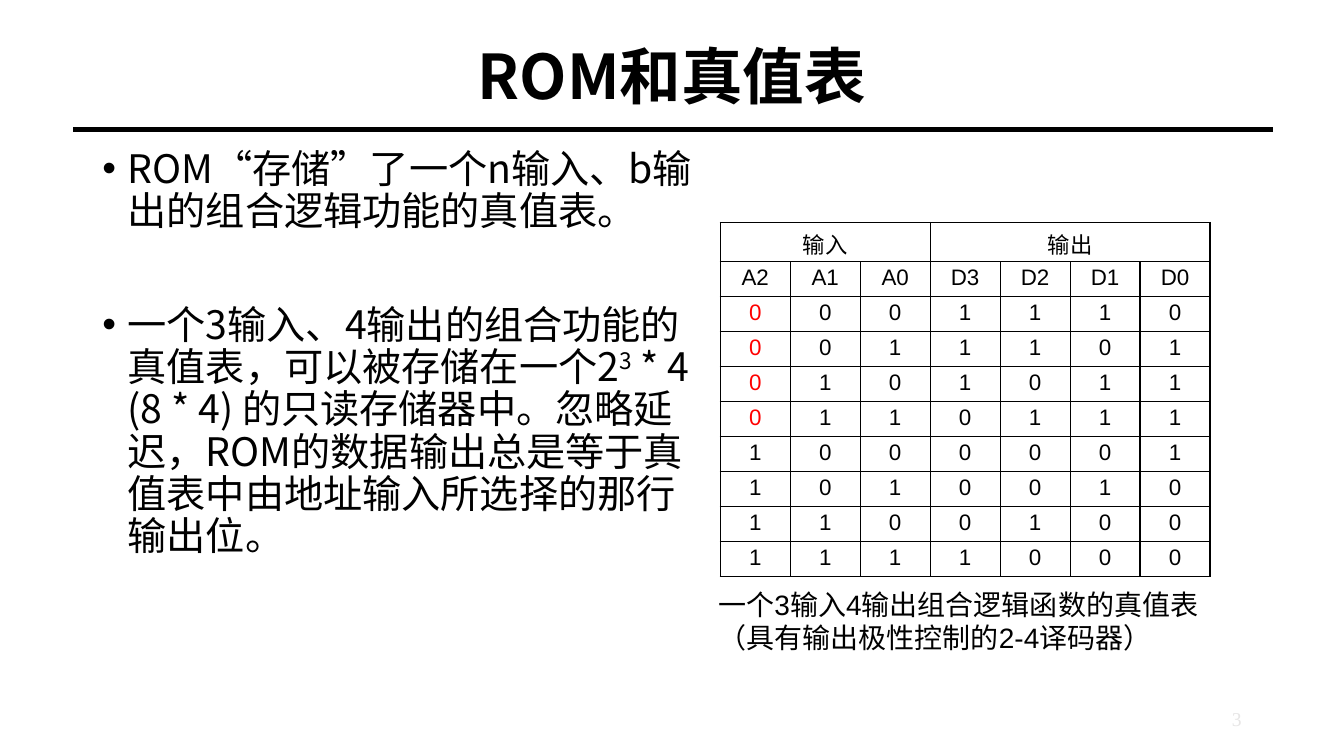
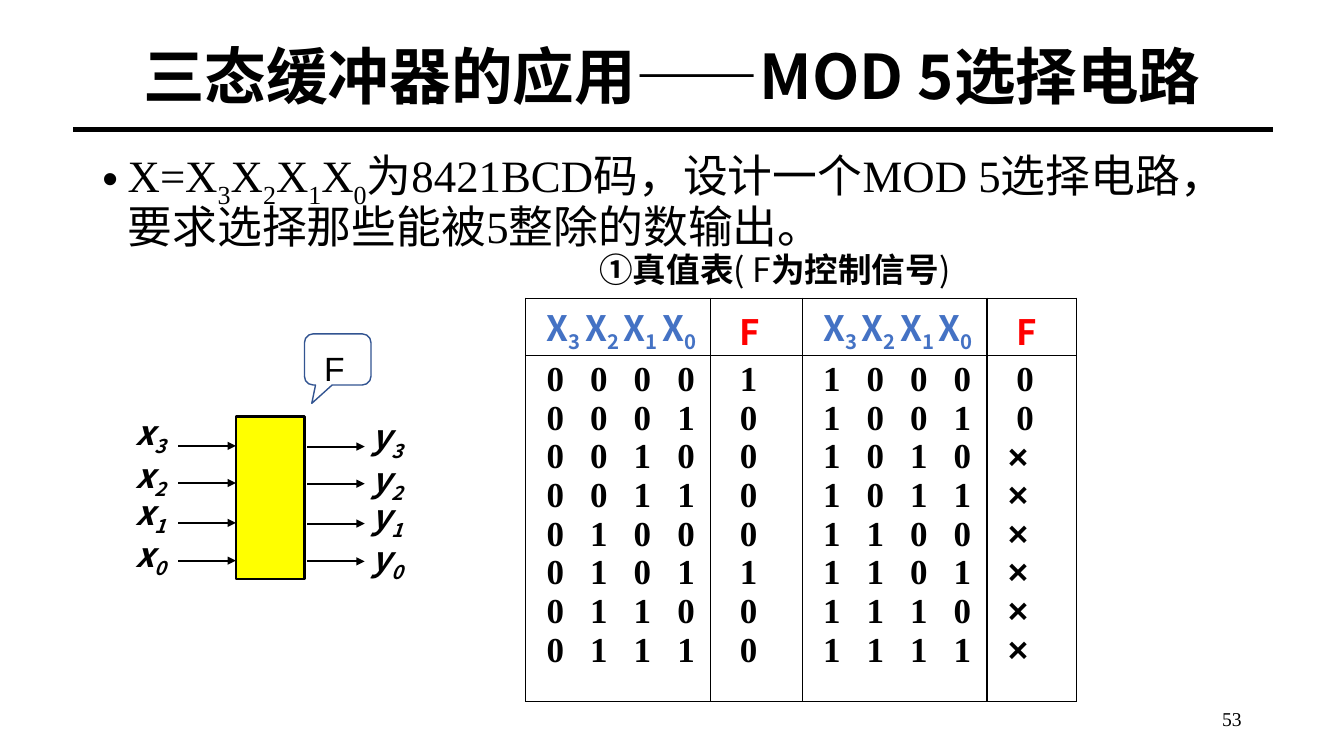
from lxml.etree import SubElement
from pptx import Presentation
from pptx.dml.color import RGBColor
from pptx.enum.lang import MSO_LANGUAGE_ID as LANG
from pptx.enum.shapes import MSO_CONNECTOR as LINE, MSO_SHAPE as SHAPE
from pptx.enum.text import MSO_ANCHOR as ANCHOR, MSO_AUTO_SIZE as FIT, PP_ALIGN as ALIGN
from pptx.oxml.ns import qn
from pptx.util import Pt

PX = 6350
COLORS = {
    "ink": "000000", "paper": "FFFFFF", "red": "FF0000", "blue": "4472C4",
    "yellow": "FFFF00", "callout": "325491", "faint": "E7E6E6",
}
SANS, SERIF, ARIAL = "Noto Sans CJK SC", "Times New Roman", "Arial"
TITLE = {"name": SANS, "size": Pt(44), "bold": True}
CAPTION = {"name": ARIAL, "size": Pt(20)}
GRID = {"name": ARIAL, "size": Pt(16), "bold": False}
TABLE_HEAD = {"name": SANS, "size": Pt(25), "bold": True}
TABLE_FLAGS = {**TABLE_HEAD, "name": SERIF}
TABLE_CODES = {**TABLE_FLAGS, "tracking": 620}
HEADING = {"name": SANS, "size": Pt(24), "bold": True}
SIGNAL = {**HEADING, "italic": True}
CALLOUT = {"name": ARIAL, "size": Pt(24)}
PAGE_NUMBER = {"name": SERIF, "size": Pt(14)}

SUBSCRIPT = {"baseline": -25000}
RUN_ATTRIBUTES = {"baseline": "baseline", "tracking": "spc"}
BIT_NAMES = "3210"


def px(*lengths):
    return [length * PX for length in lengths]


def color(name):
    return RGBColor.from_string(COLORS[name])


def indexed(letter, digits, gap=""):
    runs = []
    for digit in digits:
        tail = gap if digit != digits[-1] else ""
        runs += [(letter, {}), (digit + tail, SUBSCRIPT)]
    return runs


def add_run(paragraph, text, style):
    run = paragraph.add_run()
    run.text = text
    run.font.color.rgb = color(style.get("color", "ink"))
    run.font.language_id = LANG.SIMPLIFIED_CHINESE
    props = run._r.get_or_add_rPr()
    for key, value in style.items():
        if key in RUN_ATTRIBUTES:
            props.set(RUN_ATTRIBUTES[key], str(value))
        elif key != "color":
            setattr(run.font, key, value)
    SubElement(props, qn("a:ea")).set("typeface", SANS)


def indent(paragraph, left, first=0):
    props = paragraph._p.get_or_add_pPr()
    props.set("marL", str(left * PX))
    props.set("indent", str(first * PX))
    return props


def write(frame, lines, style, align=ALIGN.LEFT, spacing=None, gap=0, decorate=None):
    for number, line in enumerate(lines):
        paragraph = frame.paragraphs[0] if number == 0 else frame.add_paragraph()
        runs = [(line, {})] if isinstance(line, str) else line
        if decorate:
            decorate(paragraph, runs[0][0])
        layout = {
            "alignment": align, "line_spacing": spacing,
            "space_before": Pt(gap if number else 0), "space_after": Pt(0),
        }
        for key, value in layout.items():
            setattr(paragraph, key, value)
        for text, change in runs:
            add_run(paragraph, text, {**style, **change})


def bullet(paragraph, text):
    props = indent(paragraph, 36, -36)
    SubElement(props, qn("a:buFont")).set("typeface", ARIAL)
    SubElement(props, qn("a:buChar")).set("char", "•")


def flag_indent(paragraph, text):
    indent(paragraph, 0 if text == "×" else 12)


def place(shape, box):
    for key, value in zip(("left", "top", "width", "height"), px(*box)):
        setattr(shape, key, value)


def add_text(slide, box, lines, style, anchor=ANCHOR.TOP, **layout):
    frame = slide.shapes.add_textbox(*px(*box)).text_frame
    frame.word_wrap = True
    frame.vertical_anchor = anchor
    write(frame, lines, style, **layout)


def add_line(slide, start, end, width, arrow=False):
    line = slide.shapes.add_connector(LINE.STRAIGHT, *px(*start, *end))
    line.line.color.rgb = color("ink")
    line.line.width = Pt(width)
    if arrow:
        SubElement(line.line._get_or_add_ln(), qn("a:tailEnd")).set("type", "triangle")
    SubElement(line._element.spPr, qn("a:effectLst"))


def add_outlined(slide, kind, box, outline, width, fill=None):
    shape = slide.shapes.add_shape(kind, *px(*box))
    shape.shadow.inherit = False
    shape.line.color.rgb = color(outline)
    shape.line.width = Pt(width)
    if fill:
        shape.fill.solid()
        shape.fill.fore_color.rgb = color(fill)
    else:
        shape.fill.background()
    return shape


def add_grid(slide, left, top, widths, heights):
    box = px(left, top, sum(widths), sum(heights))
    table = slide.shapes.add_table(len(heights), len(widths), *box).table
    table.first_row = table.horz_banding = False
    for column, width in zip(table.columns, widths):
        column.width = width * PX
    for row, height in zip(table.rows, heights):
        row.height = height * PX
    return table


def fill_cell(cell, lines, style, margins, fill=None, **layout):
    for side, margin in zip(("left", "top", "right", "bottom"), px(*margins)):
        setattr(cell, f"margin_{side}", margin)
    props = cell._tc.get_or_add_tcPr()
    for edge in ("lnL", "lnR", "lnT", "lnB"):
        border = SubElement(props, qn(f"a:{edge}"))
        border.set("w", str(Pt(1)))
        paint = SubElement(border, qn("a:solidFill"))
        SubElement(paint, qn("a:srgbClr")).set("val", COLORS["ink"])
    if fill:
        cell.fill.solid()
        cell.fill.fore_color.rgb = color(fill)
    else:
        cell.fill.background()
    write(cell.text_frame, lines, style, **layout)


def start_slide(deck, title, number, number_color, body_width, body_inset,
                points, style, **layout):
    slide = deck.slides.add_slide(deck.slide_layouts[1])
    heading, body = slide.placeholders
    holders = [
        (heading, (132, 58, 1656, 101), ANCHOR.MIDDLE, 17),
        (body, (132, 206, body_width, 766), ANCHOR.TOP, body_inset),
    ]
    for holder, box, anchor, inset in holders:
        place(holder, box)
        frame_format = {"auto_size": FIT.NONE, "word_wrap": True,
                        "vertical_anchor": anchor, "margin_top": inset * PX}
        for key, value in frame_format.items():
            setattr(holder.text_frame, key, value)
    write(heading.text_frame, [title], TITLE, ALIGN.CENTER, 0.9)
    write(body.text_frame, points, style, decorate=bullet, **layout)
    add_line(slide, (105, 185), (1819, 185), 3)
    add_text(slide, (1356, 997, 432, 58), [number],
             {**PAGE_NUMBER, "color": number_color}, ANCHOR.MIDDLE, align=ALIGN.RIGHT)
    return slide


def add_rom_table(slide):
    outputs = ["1110", "1101", "1011", "0111", "0001", "0010", "0100", "1000"]
    table = add_grid(slide, 1029, 318, [100] * 7, [56] + [50] * 9)
    headers = {0: "输入", 3: "输出"}
    for column in range(7):
        fill_cell(table.cell(0, column), [headers[column]] if column in headers else [],
                  GRID, (17, 16, 17, 2), align=ALIGN.CENTER, spacing=Pt(19))
    table.cell(0, 0).merge(table.cell(0, 2))
    table.cell(0, 3).merge(table.cell(0, 6))
    rows = [["A2", "A1", "A0", "D3", "D2", "D1", "D0"]]
    rows += [list(f"{address:03b}" + data) for address, data in enumerate(outputs)]
    for row, values in enumerate(rows, 1):
        for column, value in enumerate(values):
            ink = "red" if column == 0 and value == "0" else "ink"
            fill_cell(table.cell(row, column), [value], {**GRID, "color": ink},
                      (12, 5, 12, 5), align=ALIGN.CENTER, spacing=Pt(18))


def add_mod5_table(slide):
    table = add_grid(slide, 751, 426, [264, 131, 264, 128], [82, 494])
    flags = ["10000100", "00××××××"]
    for half, half_flags in enumerate(flags):
        codes = [" ".join(f"{code:04b}") for code in range(8 * half, 8 * half + 8)]
        marks = [[(flag, {"name": ARIAL if flag == "×" else SERIF})] for flag in half_flags]
        columns = [
            (indexed("X", BIT_NAMES, " "), "blue", codes, TABLE_CODES, None),
            ([("F", {})], "red", marks, TABLE_FLAGS, flag_indent),
        ]
        for offset, (header, ink, lines, style, decorate) in enumerate(columns):
            column = 2 * half + offset
            head = table.cell(0, column)
            head.vertical_anchor = ANCHOR.BOTTOM
            fill_cell(head, [header], {**TABLE_HEAD, "color": ink}, (30, 5, 0, 0),
                      "paper", spacing=Pt(34), decorate=decorate)
            fill_cell(table.cell(1, column), lines, style, (30, 7, 0, 7),
                      spacing=Pt(27.6), decorate=decorate)


def add_selector(slide):
    add_outlined(slide, SHAPE.RECTANGLE, (337, 595, 98, 232), "ink", 1.5, "yellow")
    arrow_tops, label_tops = (637, 690, 747, 801), (583, 644, 697, 757)
    sides = [("x", 179, 255, 0, 0), ("y", 517, 439, 1, 6)]
    for letter, label_left, arrow_left, arrow_drop, label_drop in sides:
        for digit, arrow_top, label_top in zip(BIT_NAMES, arrow_tops, label_tops):
            level = arrow_top + arrow_drop
            add_line(slide, (arrow_left, level), (arrow_left + 82, level), 1.5, True)
            add_text(slide, (label_left, label_top + label_drop, 138, 72),
                     [indexed(letter, digit)], SIGNAL, spacing=Pt(32))
    balloon = add_outlined(slide, SHAPE.ROUNDED_RECTANGULAR_CALLOUT,
                           (435, 477, 95, 73), "callout", 1)
    for index, value in enumerate((-0.39, 0.86, 0.17)):
        balloon.adjustments[index] = value
    add_text(slide, (449, 490, 69, 72), ["F"], CALLOUT)


def add_rom_slide(deck):
    points = [
        "ROM“存储”了一个n输入、b输出的组合逻辑功能的真值表。",
        [("一个3输入、4输出的组合功能的真值表，可以被存储在一个2", {}),
         ("3", {"baseline": 30000}),
         (" * 4 (8 * 4) 的只读存储器中。忽略延迟，ROM的数据输出总是"
          "等于真值表中由地址输入所选择的那行输出位。", {})],
    ]
    slide = start_slide(deck, "ROM和真值表", "3", "faint", 880, 7, points,
                        {"name": SANS, "size": Pt(28)}, spacing=Pt(30.2), gap=51)
    add_rom_table(slide)
    add_text(slide, (1012, 832, 766, 111),
             ["一个3输入4输出组合逻辑函数的真值表", "（具有输出极性控制的2-4译码器）"],
             CAPTION, spacing=Pt(24))


def add_mod5_slide(deck):
    task = [("X=", {})] + indexed("X", BIT_NAMES)
    task.append(("为8421BCD码，设计一个MOD 5选择电路，要求选择那些能被5整除的数输出。", {}))
    slide = start_slide(deck, "三态缓冲器的应用——MOD 5选择电路", "53", "ink", 1620, 31,
                        [task], {"name": SERIF, "size": Pt(32)}, spacing=Pt(31))
    plain = {"bold": False}
    add_text(slide, (842, 348, 586, 72),
             [[("①真值表", {}), ("( F", plain), ("为控制信号", {}), (")", plain)]],
             HEADING, spacing=Pt(29))
    add_mod5_table(slide)
    add_selector(slide)


def main():
    deck = Presentation()
    deck.slide_width, deck.slide_height = px(1920, 1080)
    add_rom_slide(deck)
    add_mod5_slide(deck)
    deck.save("out.pptx")


if __name__ == "__main__":
    main()
